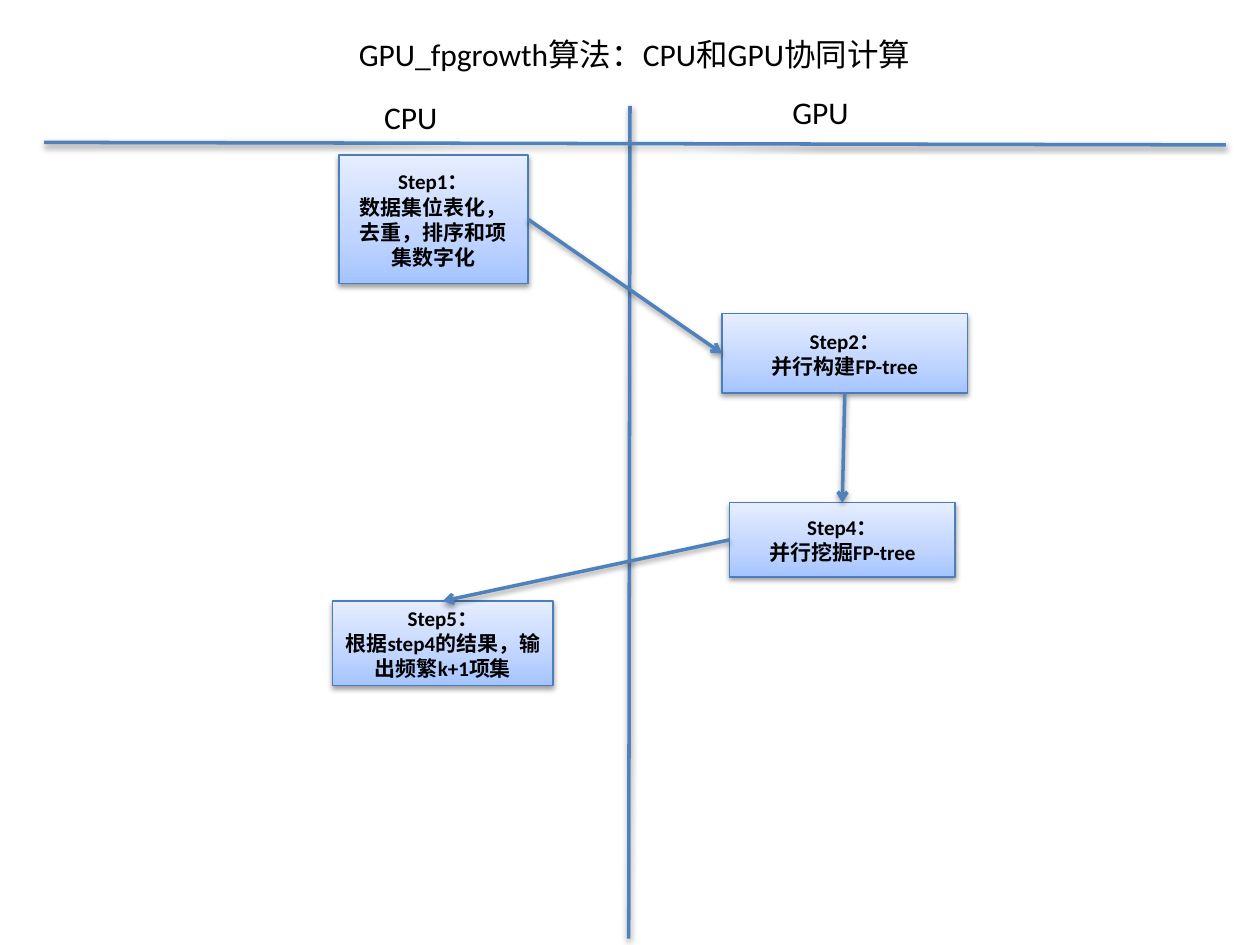
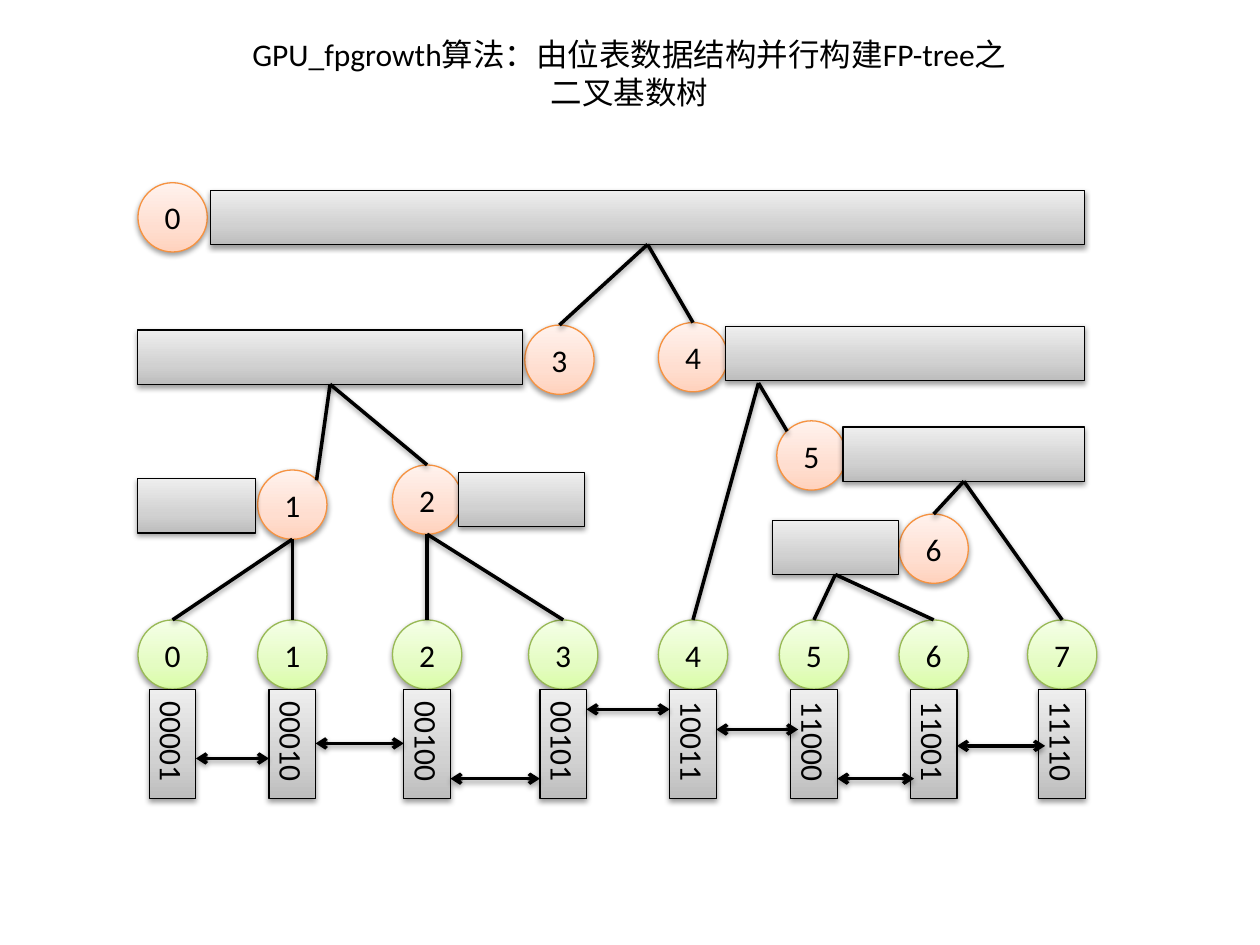
from dataclasses import dataclass

from lxml.etree import SubElement
from pptx import Presentation
from pptx.dml.color import RGBColor
from pptx.enum.shapes import MSO_CONNECTOR as Connector, MSO_SHAPE as Shape
from pptx.enum.text import MSO_ANCHOR as Anchor, PP_ALIGN as Align
from pptx.oxml.ns import qn
from pptx.util import Inches, Pt

FONT = "Calibri"
UNIT = Inches(0.1)  # the slide is a grid of 100 columns by 75 rows
COLUMNS, ROWS = 100, 75
TITLE_ONLY = 5

COLORS = {"ink": "000000", "axis": "4F81BD"}
# Gradients run from the bottom of a shape to its top.
STYLES = {
    "step": {"line": "4B7EBC", "stops": ("A4C4FF", "BFD4FF", "E6EEFF")},
    "inner": {"line": "F69240", "stops": ("FFD2BD", "FFDED0", "FFF2ED")},
    "leaf": {"line": "98B955", "stops": ("DAFDA7", "E4FCC2", "F5FFE7")},
    "bar": {"line": "000000", "stops": ("BDBDBD", "D1D1D1", "EEEEEE")},
}
STOP_POSITIONS = (0, 35, 100)


@dataclass
class Box:
    """A rectangle in grid units."""
    left: float
    top: float
    width: float
    height: float

    def within(self, left, top, width, height):
        """A box placed relative to this one."""
        return Box(self.left + left, self.top + top, width, height)

    def point(self, across, down):
        """The point at the given shares of width and height."""
        return self.left + across * self.width, self.top + down * self.height

    def emu(self):
        return [round(length * UNIT)
                for length in (self.left, self.top, self.width, self.height)]


TOP, BOTTOM, LEFT, RIGHT = (0.5, 0), (0.5, 1), (0, 0.5), (1, 0.5)
UPPER_LEFT, UPPER_RIGHT = (0.15, 0.15), (0.85, 0.15)


def rgb(name):
    return RGBColor.from_string(COLORS.get(name, name))


def write(frame, lines, size, bold=False, align=Align.CENTER):
    for index, line in enumerate(lines):
        para = frame.paragraphs[0] if index == 0 else frame.add_paragraph()
        para.alignment = align
        span = para.add_run()
        span.text = line
        span.font.name = FONT
        span.font.size = Pt(size)
        span.font.bold = bold
        span.font.color.rgb = rgb("ink")


def add_shadow(item):
    properties = item._element.spPr
    effects = properties.find(qn("a:effectLst"))
    if effects is None:
        effects = SubElement(properties, qn("a:effectLst"))
    shadow = SubElement(effects, qn("a:outerShdw"), blurRad="40000",
                        dist="20000", dir="5400000", rotWithShape="0")
    color = SubElement(shadow, qn("a:srgbClr"), val=COLORS["ink"])
    SubElement(color, qn("a:alpha"), val="38000")


def fill_gradient(shape, colors):
    shape.fill.gradient()
    shape.fill.gradient_angle = 90
    stops = shape._element.spPr.find(qn("a:gradFill")).find(qn("a:gsLst"))
    for stop in list(stops):
        stops.remove(stop)
    for position, color in zip(STOP_POSITIONS, colors):
        stop = SubElement(stops, qn("a:gs"), pos=str(position * 1000))
        SubElement(stop, qn("a:srgbClr"), val=color)


def add_block(page, kind, box, style, lines=(), size=18, bold=False):
    shape = page.shapes.add_shape(kind, *box.emu())
    fill_gradient(shape, STYLES[style]["stops"])
    shape.line.color.rgb = rgb(STYLES[style]["line"])
    shape.line.width = Pt(0.75)
    shape.shadow.inherit = False
    add_shadow(shape)
    shape.text_frame.vertical_anchor = Anchor.MIDDLE
    write(shape.text_frame, lines, size, bold)
    return shape


def add_line(page, start, end, color="ink", arrows=()):
    ends = [round(value * UNIT) for value in (*start, *end)]
    line = page.shapes.add_connector(Connector.STRAIGHT, *ends)
    line.line.color.rgb = rgb(color)
    line.line.width = Pt(2)
    outline = line._element.spPr.find(qn("a:ln"))
    for arrow in arrows:
        SubElement(outline, qn(f"a:{arrow}"), type="arrow")
    add_shadow(line)


def add_page(deck, title_box, title_lines):
    page = deck.slides.add_slide(deck.slide_layouts[TITLE_ONLY])
    title = page.shapes.title
    title.left, title.top, title.width, title.height = title_box.emu()
    title.text_frame.vertical_anchor = Anchor.TOP
    write(title.text_frame, title_lines, 18)
    return page


def draw_axes(page, area):
    for start, end in (((46.5, 1.5), (46.4, 67.6)), ((0, 4.4), (93.8, 4.6))):
        add_line(page, area.within(*start, 0, 0).point(0, 0),
                 area.within(*end, 0, 0).point(0, 0), "axis")
    for heading, left, top in (("CPU", 26, 0.4), ("GPU", 58.4, 0)):
        label = page.shapes.add_textbox(*area.within(left, top, 7.1, 4).emu())
        label.text_frame.word_wrap = True
        write(label.text_frame, [heading], 18, align=Align.LEFT)


def draw_steps(page, area):
    steps = {
        "Step1": ((23.4, 5.4, 15, 10.2), "数据集位表化，去重，排序和项集数字化"),
        "Step2": ((53.8, 18, 19.5, 6.3), "并行构建FP-tree"),
        "Step4": ((54.4, 33, 17.9, 5.9), "并行挖掘FP-tree"),
        "Step5": ((22.9, 40.8, 17.5, 6.7), "根据step4的结果，输出频繁k+1项集"),
    }
    boxes = {}
    for name, (place, task) in steps.items():
        boxes[name] = area.within(*place)
        add_block(page, Shape.RECTANGLE, boxes[name], "step",
                  [f"{name}：", task], size=12, bold=True)
    for source, exit_side, target, entry_side in (
            ("Step1", RIGHT, "Step2", LEFT),
            ("Step2", BOTTOM, "Step4", TOP),
            ("Step4", LEFT, "Step5", TOP)):
        add_line(page, boxes[source].point(*exit_side),
                 boxes[target].point(*entry_side), "axis", ["tailEnd"])


NODE = 5.5
LEAF_TOP = 34.7
LEAF_CENTERS = (2.8, 12.3, 23, 33.8, 44.1, 53.7, 63.2, 73.4)


def add_node(page, area, center, top, label, style):
    circle = area.within(center - NODE / 2, top, NODE, NODE)
    add_block(page, Shape.OVAL, circle, style, [label])
    return circle


def draw_tree(page, area):
    # label: circle centre, circle top, (bar left, top, width)
    inner_nodes = {
        "0": (2.8, 0, (5.8, 0.6, 69.4)),
        "1": (12.3, 22.8, (0, 23.5, 9.4)),
        "2": (23, 22.4, (25.5, 23, 10)),
        "3": (33.5, 11.3, (0, 11.7, 30.6)),
        "4": (44.1, 11.1, (46.7, 11.4, 28.5)),
        "5": (53.5, 18.9, (56, 19.4, 19.2)),
        "6": (63.2, 26.3, (50.4, 26.8, 10)),
    }
    circles, forks = {}, {}
    for label, (center, top, (left, bar_top, width)) in inner_nodes.items():
        circles[label] = add_node(page, area, center, top, label, "inner")
        bar = area.within(left, bar_top, width, 4.3)
        add_block(page, Shape.RECTANGLE, bar, "bar")
        forks[label] = bar.point(*BOTTOM)
    for label in "12":
        forks[label] = circles[label].point(*BOTTOM)
    forks["4"] = area.within(49.3, 15.9, 0, 0).point(0, 0)

    leaves = [add_node(page, area, center, LEAF_TOP, str(index), "leaf")
              for index, center in enumerate(LEAF_CENTERS)]
    for parent, child, side in (
            ("0", "3", TOP), ("0", "4", TOP), ("3", "1", UPPER_RIGHT),
            ("3", "2", TOP), ("4", "5", UPPER_LEFT), ("5", "6", TOP)):
        add_line(page, forks[parent], circles[child].point(*side))
    for parent, leaf in zip("11224665", leaves):
        add_line(page, forks[parent], leaf.point(*TOP))


def draw_bit_codes(page, area):
    codes = ("00001", "00010", "00100", "00101",
             "10011", "11000", "11001", "11110")
    cells = []
    for center, code in zip(LEAF_CENTERS, codes):
        cell = area.within(center - 1.85, LEAF_TOP + NODE, 3.7, 8.7)
        shape = add_block(page, Shape.RECTANGLE, cell, "bar", [code])
        shape.text_frame._txBody.bodyPr.set("vert", "eaVert")
        cells.append(cell)
    # height of each link, and how far it reaches into the next cell
    links = ((45.7, 0), (44.5, 0), (47.3, 0), (41.8, 0),
             (43.4, 0.6), (47.3, 0.3), (44.7, 0.5))
    for cell, neighbour, (down, reach) in zip(cells, cells[1:], links):
        height = area.top + down
        add_line(page, (cell.left + cell.width, height),
                 (neighbour.left + reach, height),
                 arrows=["headEnd", "tailEnd"])


def main():
    deck = Presentation()
    deck.slide_width, deck.slide_height = COLUMNS * UNIT, ROWS * UNIT

    flow_page = add_page(deck, Box(3.5, 2.3, 93.7, 4),
                         ["GPU_fpgrowth算法：CPU和GPU协同计算"])
    flow_area = Box(3.5, 6.9, 93.8, 67.6)
    draw_axes(flow_page, flow_area)
    draw_steps(flow_page, flow_area)

    tree_page = add_page(
        deck, Box(4.3, 2.3, 91.3, 7.1),
        ["GPU_fpgrowth算法：由位表数据结构并行构建FP-tree之", "二叉基数树"])
    tree_area = Box(10.9, 14.5, 76.1, 49)
    draw_tree(tree_page, tree_area)
    draw_bit_codes(tree_page, tree_area)

    deck.save("out.pptx")


if __name__ == "__main__":
    main()
